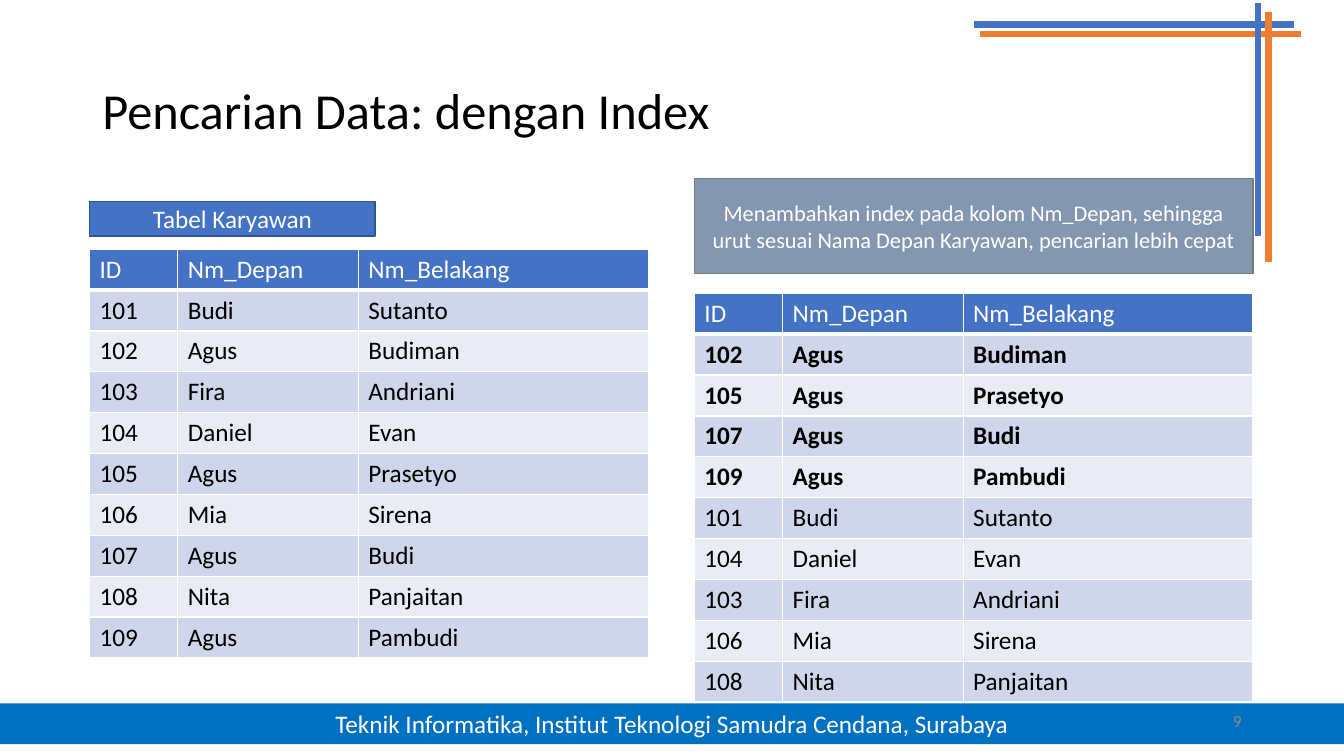
import dataclasses

import pptx
import pptx.dml.color
import pptx.enum.shapes
import pptx.enum.text
import pptx.oxml
import pptx.oxml.ns
import pptx.util
from lxml import etree

Pt = pptx.util.Pt
ALIGN = pptx.enum.text.PP_ALIGN


@dataclasses.dataclass(frozen=True)
class Theme:
    font: str = "Calibri"
    title_size: float = 36
    body_size: float = 18
    note_size: float = 16
    number_size: float = 12
    black: str = "000000"
    white: str = "FFFFFF"
    gray: str = "8C8C8C"
    blue: str = "4472C4"
    blue_edge: str = "325491"
    orange: str = "ED7D31"
    slate: str = "8497B0"
    slate_edge: str = "7A7A7A"
    footer: str = "0070C0"
    bands: tuple = ("CFD5EA", "E9EBF5")


def rgb(color):
    return pptx.dml.color.RGBColor.from_string(color)


class SlideBuilder:
    def __init__(self, slide, theme):
        self.slide = slide
        self.theme = theme

    def add_text_run(self, frame, text, size, color, align=ALIGN.LEFT, bold=False):
        paragraph = frame.paragraphs[0]
        paragraph.alignment = align
        run = paragraph.add_run()
        run.text = text
        run.font.name = self.theme.font
        run.font.size = Pt(size)
        run.font.bold = bold
        run.font.color.rgb = rgb(color)
        return paragraph

    def text(self, box, text, size, color, align=ALIGN.LEFT):
        frame = self.slide.shapes.add_textbox(*map(Pt, box)).text_frame
        frame.word_wrap = True
        frame.vertical_anchor = pptx.enum.text.MSO_ANCHOR.MIDDLE
        return self.add_text_run(frame, text, size, color, align)

    def panel(self, box, text, size, fill, edge=None):
        shape = self.slide.shapes.add_shape(
            pptx.enum.shapes.MSO_SHAPE.RECTANGLE, *map(Pt, box))
        shape.shadow.inherit = False
        shape.fill.solid()
        shape.fill.fore_color.rgb = rgb(fill)
        if edge:
            shape.line.color.rgb = rgb(edge)
            shape.line.width = Pt(1)
        else:
            shape.line.fill.background()
        frame = shape.text_frame
        frame.word_wrap = True
        frame.vertical_anchor = pptx.enum.text.MSO_ANCHOR.MIDDLE
        self.add_text_run(frame, text, size, self.theme.white, ALIGN.CENTER)

    def line(self, ends, color):
        connector = self.slide.shapes.add_connector(
            pptx.enum.shapes.MSO_CONNECTOR.STRAIGHT, *map(Pt, ends))
        connector.line.color.rgb = rgb(color)
        connector.line.width = Pt(4.5)
        etree.SubElement(connector._element.spPr, pptx.oxml.ns.qn("a:effectLst"))

    def borders(self, cell, widths):
        """Draw white borders; widths maps the sides L, R, T and B to points."""
        properties = cell._tc.get_or_add_tcPr()
        for side, width in widths.items():
            properties.append(pptx.oxml.parse_xml(
                f'<a:ln{side} {pptx.oxml.ns.nsdecls("a")} w="{Pt(width)}"><a:solidFill>'
                f'<a:srgbClr val="{self.theme.white}"/></a:solidFill></a:ln{side}>'))

    def table(self, left, top, column_widths, row_height, header, records, bold_name=None):
        """Add a banded table; records whose first name is bold_name are bold."""
        rows = [header, *records]
        table = self.slide.shapes.add_table(
            len(rows), len(header), Pt(left), Pt(top),
            Pt(sum(column_widths)), Pt(row_height * len(rows))).table
        table.first_row = table.horz_banding = False
        for column, width in zip(table.columns, column_widths):
            column.width = Pt(width)
        for index, values in enumerate(rows):
            table.rows[index].height = Pt(row_height)
            if index == 0:
                fill, color = self.theme.blue, self.theme.white
                widths = {"L": 1, "R": 1, "T": 1, "B": 3}
            else:
                fill, color = self.theme.bands[(index - 1) % 2], self.theme.black
                widths = {"L": 1, "R": 1, "B": 1}
            for column_index, value in enumerate(values):
                cell = table.cell(index, column_index)
                self.borders(cell, widths)
                cell.fill.solid()
                cell.fill.fore_color.rgb = rgb(fill)
                self.add_text_run(cell.text_frame, value, self.theme.body_size, color,
                                  bold=values[1] == bold_name)


HEADER = ("ID", "Nm_Depan", "Nm_Belakang")
EMPLOYEES = [
    ("101", "Budi", "Sutanto"),
    ("102", "Agus", "Budiman"),
    ("103", "Fira", "Andriani"),
    ("104", "Daniel", "Evan"),
    ("105", "Agus", "Prasetyo"),
    ("106", "Mia", "Sirena"),
    ("107", "Agus", "Budi"),
    ("108", "Nita", "Panjaitan"),
    ("109", "Agus", "Pambudi"),
]
COLUMN_WIDTHS = (63, 129, 207)
ROW_HEIGHT = 29.2
LEFT_TABLE, RIGHT_TABLE = 64, 496


def main():
    presentation = pptx.Presentation()
    presentation.slide_width = Pt(960)
    presentation.slide_height = Pt(540)
    theme = Theme()
    builder = SlideBuilder(
        presentation.slides.add_slide(presentation.slide_layouts[6]), theme)

    builder.panel((0, 502.5, 960, 29),
                  "Teknik Informatika, Institut Teknologi Samudra Cendana, Surabaya",
                  theme.body_size, theme.footer)
    for ends, color in (
        ((695.5, 17.5, 924.5, 17.5), theme.blue),
        ((700, 24.5, 929.5, 24.5), theme.orange),
        ((898.5, 2, 898.5, 168.5), theme.blue),
        ((906, 8.5, 906, 187), theme.orange),
    ):
        builder.line(ends, color)

    title = builder.text((66, 28.75, 828, 104.4), "Pencarian Data: dengan Index",
                         theme.title_size, theme.black)
    title.line_spacing = 0.9
    builder.table(LEFT_TABLE, 178, COLUMN_WIDTHS, ROW_HEIGHT, HEADER, EMPLOYEES)
    builder.text((678, 500.5, 216, 29), "9", theme.number_size, theme.gray, ALIGN.RIGHT)
    builder.panel((LEFT_TABLE, 144, 204, 24.5), "Tabel Karyawan",
                  theme.body_size, theme.blue, theme.blue_edge)
    builder.panel((RIGHT_TABLE, 127.5, sum(COLUMN_WIDTHS), 68),
                  "Menambahkan index pada kolom Nm_Depan, sehingga urut sesuai "
                  "Nama Depan Karyawan, pencarian lebih cepat",
                  theme.note_size, theme.slate, theme.slate_edge)
    by_first_name = sorted(EMPLOYEES, key=lambda employee: employee[1])
    builder.table(RIGHT_TABLE, 209.5, COLUMN_WIDTHS, ROW_HEIGHT, HEADER,
                  by_first_name, bold_name="Agus")
    presentation.save("out.pptx")


if __name__ == "__main__":
    main()
